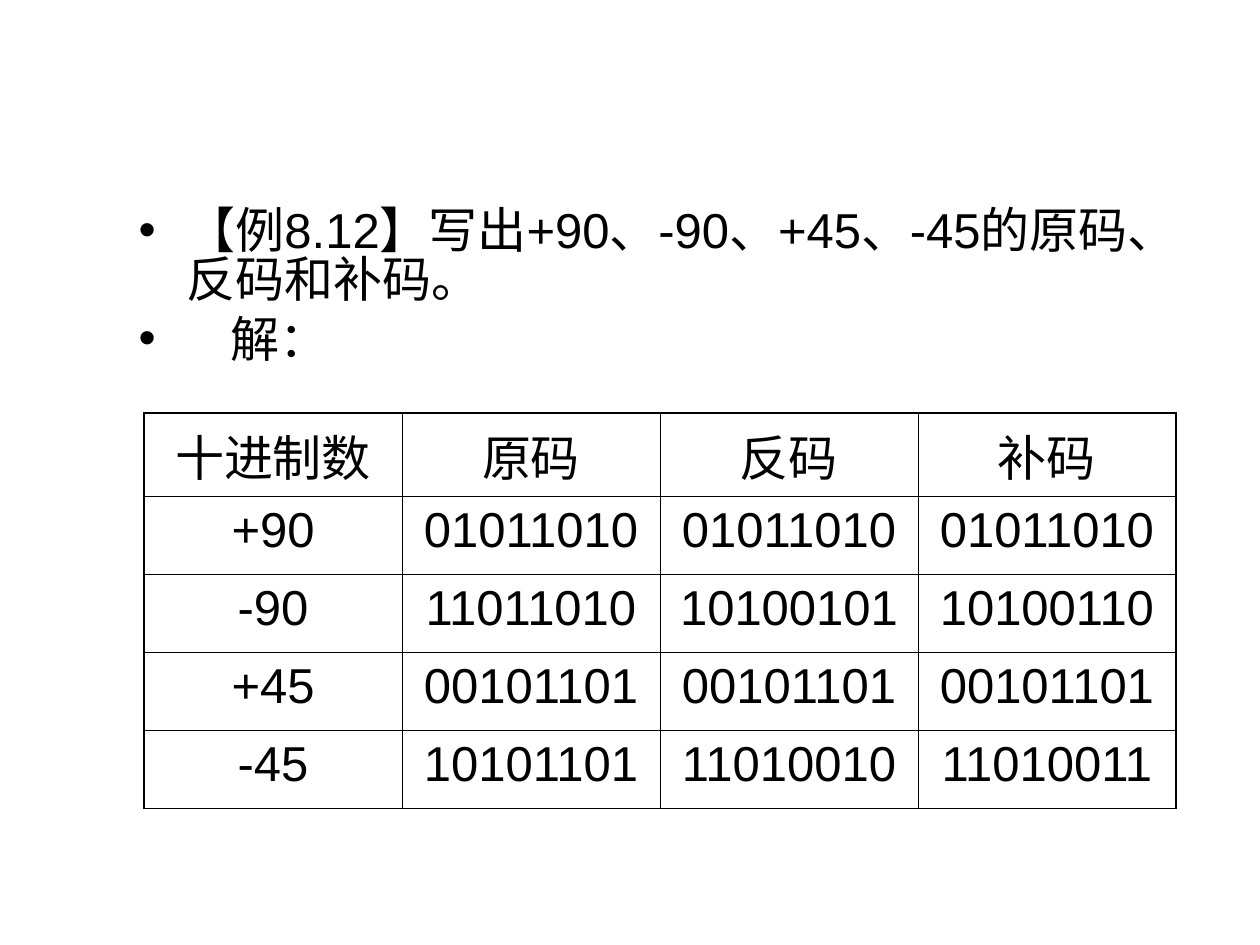
from dataclasses import dataclass

from lxml import etree
from pptx import Presentation
from pptx.dml.color import RGBColor
from pptx.enum.text import MSO_ANCHOR, MSO_AUTO_SIZE, PP_ALIGN
from pptx.oxml.ns import qn
from pptx.util import Emu, Pt

CENTER = PP_ALIGN.CENTER
TOP = MSO_ANCHOR.TOP
NO_AUTOFIT = MSO_AUTO_SIZE.NONE
PX = 914400 / 126
TITLE_AND_CONTENT = 1

STATEMENTS = [
    ("【例8.12】写出+90、-90、+45、-45的原码、反码和补码。", 48),
    ("解：", 92),
]
CODES = [
    ["十进制数", "原码", "反码", "补码"],
    ["+90", "01011010", "01011010", "01011010"],
    ["-90", "11011010", "10100101", "10100110"],
    ["+45", "00101101", "00101101", "00101101"],
    ["-45", "10101101", "11010010", "11010011"],
]


@dataclass(frozen=True)
class Theme:
    """Colours, type and line widths of the slide."""
    ink: str = "000000"
    font: str = "Arial"
    size: int = 28
    space_before: int = 7
    line_spacing: float = 0.82
    outer_line: float = 1.08
    inner_line: float = 0.45


THEME = Theme()


def px(length):
    """Turn a length in px into EMU."""
    return Emu(round(length * PX))


def add_text(paragraph, text):
    """Add one run in the theme's type."""
    run = paragraph.add_run()
    run.text = text
    run.font.name = THEME.font
    run.font.size = Pt(THEME.size)
    run.font.color.rgb = RGBColor.from_string(THEME.ink)


def set_bullet(paragraph, indent):
    """Give a paragraph a round bullet with a hanging indent."""
    properties = paragraph._p.get_or_add_pPr()
    properties.set("marL", str(px(indent)))
    properties.set("indent", str(-px(indent)))
    etree.SubElement(properties, qn("a:buFont"), typeface=THEME.font)
    etree.SubElement(properties, qn("a:buChar"), char="•")


def set_border(cell, side, width):
    """Draw one side of a cell."""
    properties = cell._tc.get_or_add_tcPr()
    line = etree.SubElement(properties, qn(f"a:ln{side}"), w=str(Pt(width)))
    fill = etree.SubElement(line, qn("a:solidFill"))
    etree.SubElement(fill, qn("a:srgbClr"), val=THEME.ink)


def place_statements(shape, left, top, width, height):
    """Fill the body placeholder with the exercise and its answer line."""
    shape.left, shape.top = px(left), px(top)
    shape.width, shape.height = px(width), px(height)
    frame = shape.text_frame
    frame.word_wrap = True
    frame.auto_size = NO_AUTOFIT
    frame.vertical_anchor = TOP
    for index, (text, indent) in enumerate(STATEMENTS):
        paragraph = frame.add_paragraph() if index else frame.paragraphs[0]
        set_bullet(paragraph, indent)
        paragraph.line_spacing = THEME.line_spacing
        paragraph.space_before = Pt(THEME.space_before if index else 0)
        add_text(paragraph, text)


def add_code_table(slide, left, top, column_width, row_height):
    """Add the ruled table of codes with a heavier outer frame."""
    row_count, column_count = len(CODES), len(CODES[0])
    table = slide.shapes.add_table(
        row_count, column_count, px(left), px(top),
        px(column_width * column_count), px(row_height * row_count)).table
    table.first_row = table.horz_banding = False
    for row, values in enumerate(CODES):
        for column, value in enumerate(values):
            cell = table.cell(row, column)
            outer_sides = {
                "L": column == 0,
                "R": column == column_count - 1,
                "T": row == 0,
                "B": row == row_count - 1,
            }
            for side, is_outer in outer_sides.items():
                set_border(cell, side, THEME.outer_line if is_outer else THEME.inner_line)
            cell.fill.background()
            paragraph = cell.text_frame.paragraphs[0]
            paragraph.alignment = CENTER
            add_text(paragraph, value)


def main():
    """Build and save the slide."""
    presentation = Presentation()
    presentation.slide_width, presentation.slide_height = px(1260), px(945)
    slide = presentation.slides.add_slide(presentation.slide_layouts[TITLE_AND_CONTENT])
    title, body = slide.placeholders
    title.element.getparent().remove(title.element)
    place_statements(body, 126, 204, 1070, 653)
    add_code_table(slide, 144, 413, 258, 78)
    presentation.save("out.pptx")


if __name__ == "__main__":
    main()
